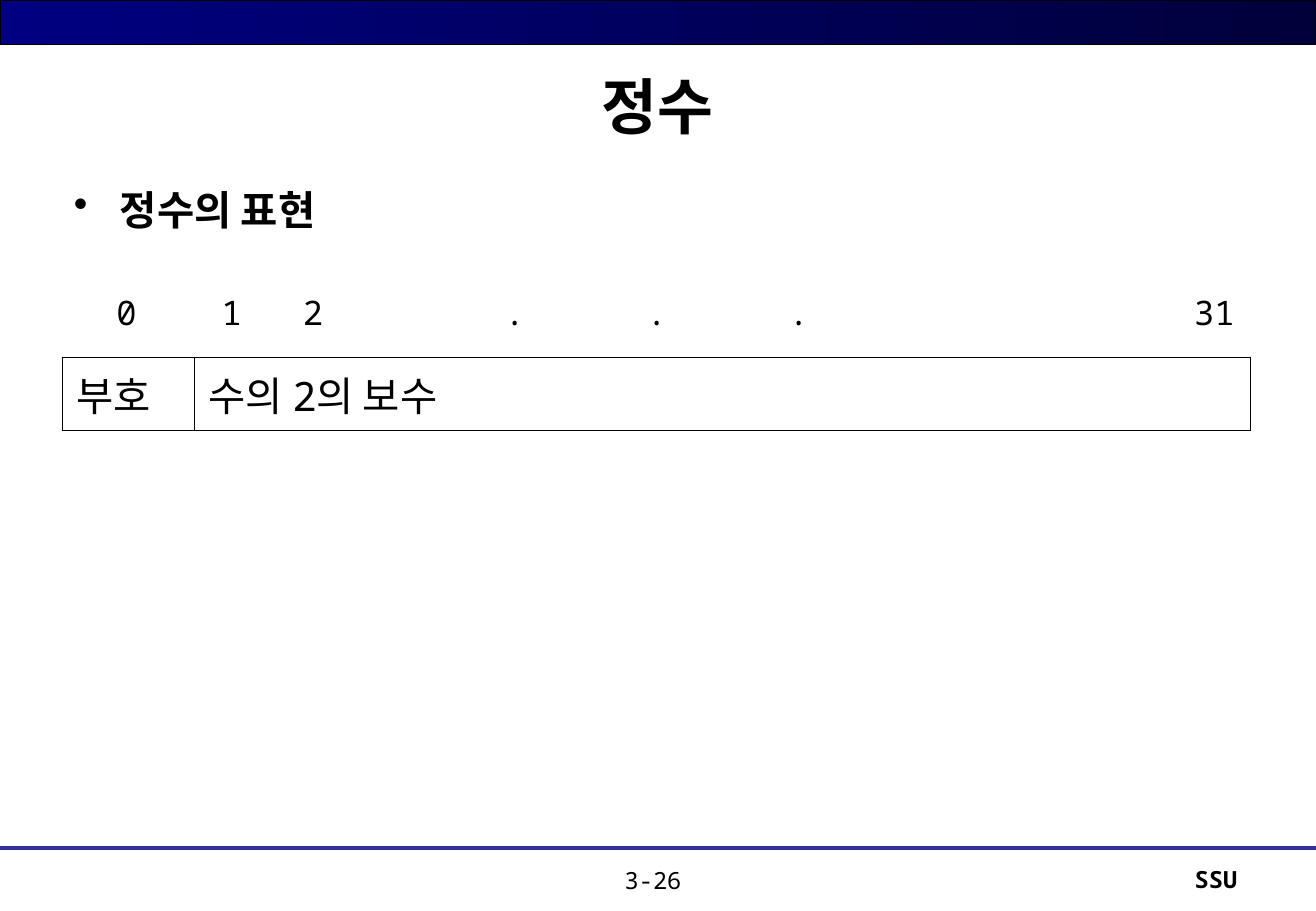
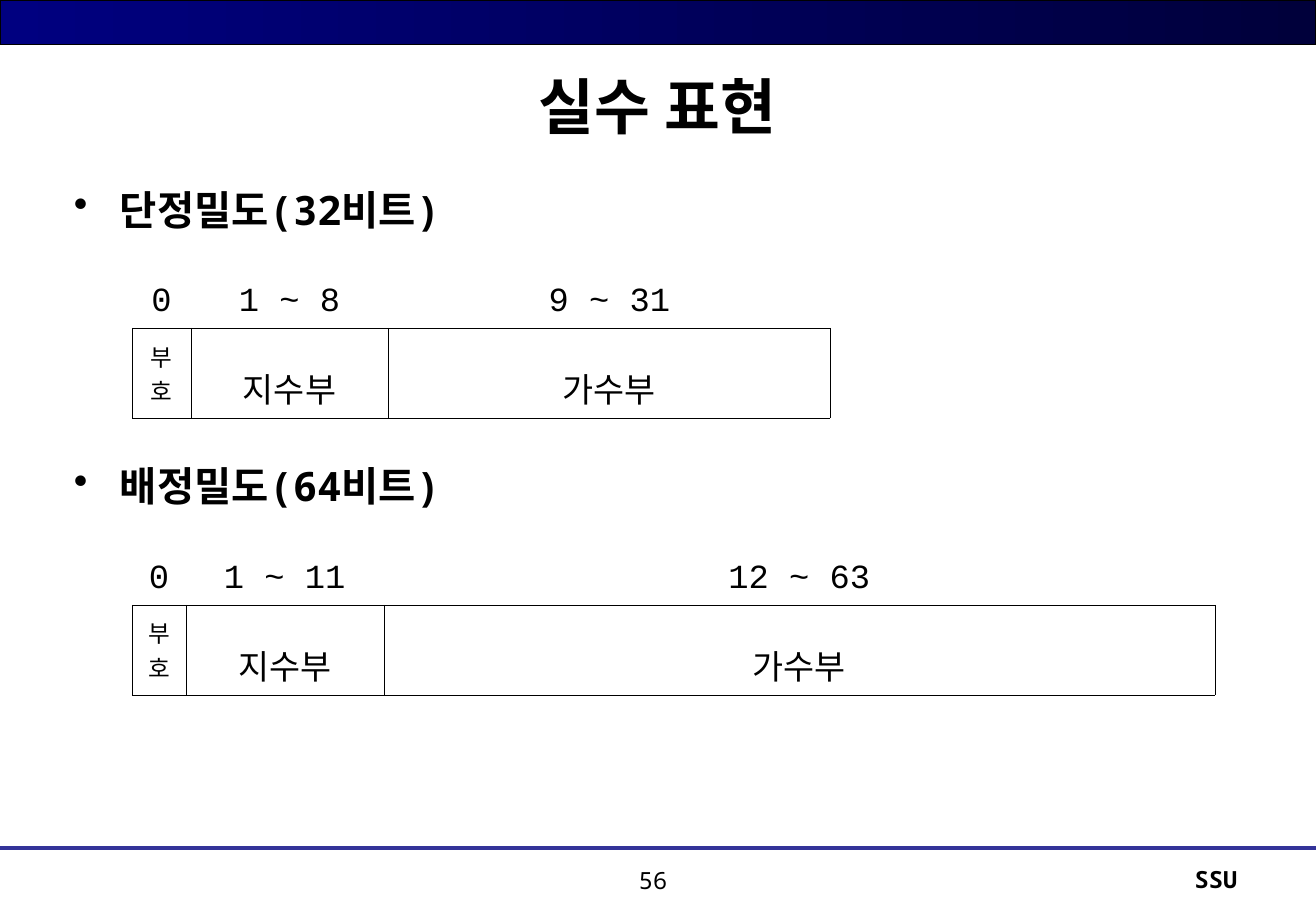
from dataclasses import dataclass

from lxml.etree import SubElement
from pptx import Presentation
from pptx.dml.color import RGBColor
from pptx.enum.shapes import MSO_CONNECTOR, MSO_SHAPE
from pptx.enum.text import MSO_ANCHOR, PP_ALIGN
from pptx.oxml.ns import qn
from pptx.util import Inches, Pt


@dataclass(frozen=True)
class Theme:
    ink: RGBColor = RGBColor(0x00, 0x00, 0x00)
    band_start: RGBColor = RGBColor(0x00, 0x00, 0x80)
    band_end: RGBColor = RGBColor(0x00, 0x00, 0x3B)
    rule: RGBColor = RGBColor(0x33, 0x33, 0x99)
    sans: str = "Noto Sans Mono"
    code: str = "Courier New"
    korean: str = "Noto Sans CJK KR"
    title: int = 36
    heading: int = 24
    label: int = 20
    small: int = 14
    word_border: float = 0.45
    field_border: float = 0.11


@dataclass(frozen=True)
class Box:
    left: float
    top: float
    width: float
    height: float

    def lengths(self):
        return [Inches(v) for v in (self.left, self.top, self.width, self.height)]


THEME = Theme()
PAGE = Box(0, 0, 10.84, 7.5)
BODY = Box(0.51, 1.47, 9.78, 5.43)
SECTION_PITCH = 2.28


def style(para, size, font=THEME.sans, bold=False, align=PP_ALIGN.LEFT):
    para.alignment = align
    para.font.size = Pt(size)
    para.font.bold = bold
    para.font.name = font
    para.font.color.rgb = THEME.ink
    defaults = para._p.pPr.find(qn("a:defRPr"))
    SubElement(defaults, qn("a:ea")).set("typeface", THEME.korean)


def add_text(page, box, text, size, bold=False, align=PP_ALIGN.LEFT,
             anchor=MSO_ANCHOR.TOP, bullet=False):
    frame = page.shapes.add_textbox(*box.lengths()).text_frame
    frame.word_wrap = True
    frame.vertical_anchor = anchor
    para = frame.paragraphs[0]
    para.text = text
    if bullet:
        properties = para._p.get_or_add_pPr()
        properties.set("marL", str(Inches(0.38)))
        properties.set("indent", str(-Inches(0.38)))
        SubElement(properties, qn("a:buChar")).set("char", "•")
    style(para, size, bold=bold, align=align)


def add_frame(page, title, number):
    band = page.shapes.add_shape(
        MSO_SHAPE.RECTANGLE, *Box(0, 0, PAGE.width, 0.37).lengths())
    band.shadow.inherit = False
    band.fill.gradient()
    band.fill.gradient_angle = 0
    for stop, color in zip(band.fill.gradient_stops,
                           (THEME.band_start, THEME.band_end)):
        stop.color.rgb = color
    band.line.color.rgb = THEME.ink
    band.line.width = Pt(0.75)

    rule = page.shapes.add_connector(
        MSO_CONNECTOR.STRAIGHT, 0, Inches(6.98), Inches(PAGE.width), Inches(6.98))
    rule.line.color.rgb = THEME.rule
    rule.line.width = Pt(2.5)
    SubElement(rule._element.spPr, qn("a:effectLst"))

    add_text(page, Box(0.54, 0.36, 9.75, 1.01), title, THEME.title, bold=True,
             align=PP_ALIGN.CENTER, anchor=MSO_ANCHOR.MIDDLE)
    add_text(page, Box(7.7, 7.07, 2.59, 0.37), "SSU", THEME.small, bold=True,
             align=PP_ALIGN.RIGHT)
    add_text(page, Box(4.65, 7.08, 1.46, 0.37), number, THEME.small,
             align=PP_ALIGN.CENTER)


def add_heading(page, box, text):
    add_text(page, box, text, THEME.heading, bold=True, bullet=True)


def set_borders(cell, width, sides):
    properties = cell._tc.get_or_add_tcPr()
    for side in "LRTB":
        line = SubElement(properties, qn(f"a:ln{side}"), w=str(Pt(width)))
        if side in sides:
            fill = SubElement(line, qn("a:solidFill"))
            SubElement(fill, qn("a:srgbClr")).set("val", str(THEME.ink))
        else:
            SubElement(line, qn("a:noFill"))


def add_grid(page, left, top, columns, rows, texts, border, inset):
    box = Box(left, top, sum(columns), sum(rows))
    table = page.shapes.add_table(
        len(rows), len(columns), *box.lengths()).table
    table.first_row = False
    table.horz_banding = False
    for column, width in zip(table.columns, columns):
        column.width = Inches(width)
    for row, height in zip(table.rows, rows):
        row.height = Inches(height)
    for row, row_texts in enumerate(texts):
        for column, text in enumerate(row_texts):
            cell = table.cell(row, column)
            cell.text = text
            cell.margin_left = cell.margin_right = Inches(inset)
            cell.vertical_anchor = MSO_ANCHOR.MIDDLE
            set_borders(cell, border, "LRTB" if row else "B")
            cell.fill.background()
    return table


def add_tabs(para, stops):
    tabs = SubElement(para._p.get_or_add_pPr(), qn("a:tabLst"))
    for position, kind in stops:
        SubElement(tabs, qn("a:tab"), pos=str(Inches(position)), algn=kind)


def add_integer_word(page, box):
    table = add_grid(page, box.left, box.top + 0.86, (1.09, 8.7), (0.61, 0.6),
                     [("0", "\t1\t2\t.\t.\t.\t31"), ("부호", "수의 2의 보수")],
                     THEME.word_border, 0.12)
    sign_bit, value_bits = table.cell(0, 0), table.cell(0, 1)
    for cell in (sign_bit, value_bits):
        cell.vertical_anchor = MSO_ANCHOR.TOP
    sign_bit.text_frame.paragraphs[0]._p.get_or_add_pPr().set(
        "marL", str(Inches(0.33)))
    centers = (0.19, 0.86, 2.52, 3.69, 4.86)
    add_tabs(value_bits.text_frame.paragraphs[0],
             [(center, "ctr") for center in centers] + [(8.45, "r")])
    for cell in table.iter_cells():
        in_label_row = cell in (sign_bit, value_bits)
        style(cell.text_frame.paragraphs[0],
              THEME.label if in_label_row else THEME.heading)


def add_real_format(page, box, heading, columns, exponent_bits, fraction_bits):
    add_heading(page, box, heading)
    table = add_grid(page, box.left + 0.58, box.top + 0.63, columns, (0.6, 0.74),
                     [("0", exponent_bits, fraction_bits),
                      ("부\n호", "지수부", "가수부")],
                     THEME.field_border, 0.02)
    for index, cell in enumerate(table.iter_cells()):
        paras = cell.text_frame.paragraphs
        stacked = len(paras) > 1
        if index < len(columns):
            cell.margin_top, cell.margin_bottom = Inches(0.03), Inches(0.03)
        elif not stacked:
            cell.vertical_anchor = MSO_ANCHOR.TOP
        for para in paras:
            if not stacked:
                para.line_spacing = 1.6
            style(para, THEME.small if stacked else THEME.label, THEME.code,
                  align=PP_ALIGN.CENTER)


def build_integer_page(page):
    add_frame(page, "정수", "3-26")
    add_heading(page, Box(BODY.left, BODY.top, BODY.width, 0.6), "정수의 표현")
    add_integer_word(page, BODY)


def build_real_page(page):
    add_frame(page, "실수 표현", "56")
    formats = [
        ("단정밀도(32비트)", (0.48, 1.63, 3.64), "1 ~ 8", "9 ~ 31"),
        ("배정밀도(64비트)", (0.44, 1.63, 6.85), "1 ~ 11", "12 ~ 63"),
    ]
    for index, details in enumerate(formats):
        top = BODY.top + index * SECTION_PITCH
        add_real_format(page, Box(BODY.left, top, BODY.width, 0.6), *details)


def main():
    deck = Presentation()
    deck.slide_width = Inches(PAGE.width)
    deck.slide_height = Inches(PAGE.height)
    for build in (build_integer_page, build_real_page):
        build(deck.slides.add_slide(deck.slide_layouts[6]))
    deck.save("out.pptx")


if __name__ == "__main__":
    main()
